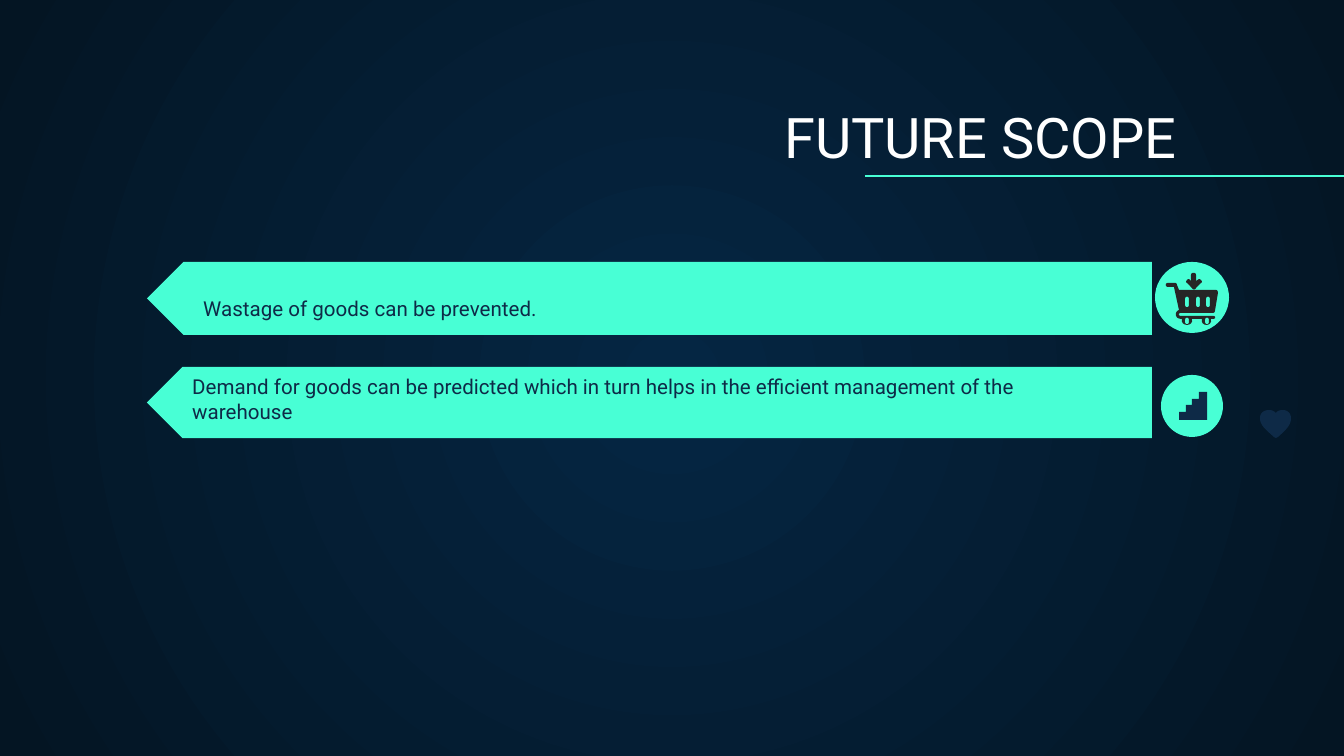
import pptx
import pptx.util
import pptx.dml.color
import pptx.enum.shapes
import pptx.enum.text
import pptx.oxml
import pptx.oxml.ns

PX = 914400 / 134.4
SLIDE = (1344, 756)
MINT, NAVY, CHARCOAL, WHITE = "48FFD5", "0E2A47", "262626", "FFFFFF"
BACKDROP = ("052643", "041523")
RIGHT, LEFT = pptx.enum.text.PP_ALIGN.RIGHT, pptx.enum.text.PP_ALIGN.LEFT

TITLE = ("FUTURE SCOPE", (38, 94, 1152, 89), 30, WHITE, RIGHT)
POINTS = [
    ("Wastage of goods can be prevented.", (190, 273, 909, 60), 11, NAVY, LEFT),
    ("Demand for goods can be predicted which in turn helps in the efficient "
     "management of the warehouse", (179, 379, 909, 58), 11, NAVY, LEFT),
]
BANNERS = [(147, 262, 1005, 73), (147, 367, 1005, 71)]
BADGES = [(1155, 262, 74, 71), (1161, 375, 62, 62)]
TITLE_RULE = (865, 176, 1356, 176)

# Two numbers are a corner; six are a cubic curve.
STAIRS = [(1199, 392), (1207, 392), (1207, 420), (1179, 420), (1179, 412), (1186, 412),
          (1186, 405), (1192, 405), (1192, 399), (1199, 399)]
HEART = [(1269, 410), (1264, 410, 1260, 413, 1260, 418), (1260, 425, 1265, 429, 1274, 437),
         (1276, 438), (1278, 437), (1287, 429, 1291, 425, 1291, 418),
         (1291, 413, 1287, 410, 1283, 410), (1280, 410, 1277, 411, 1276, 413),
         (1274, 411, 1272, 410, 1269, 410)]
DOWN_ARROW = [(1191, 275), (1191, 272, 1196, 272, 1196, 275), (1196, 281), (1199, 279),
              (1201, 279, 1203, 282, 1201, 283), (1196, 288),
              (1195, 290, 1193, 290, 1192, 288), (1187, 283),
              (1185, 282, 1187, 279, 1189, 279), (1191, 281)]
CART = [(1168, 283), (1165, 283, 1165, 287, 1168, 287), (1174, 287), (1179, 310),
        (1174, 312, 1175, 319, 1181, 319), (1182, 319), (1180, 327, 1194, 327, 1192, 319),
        (1202, 319), (1200, 327, 1213, 327, 1211, 319), (1213, 319),
        (1216, 319, 1216, 316, 1213, 316), (1181, 316), (1178, 316, 1178, 313, 1181, 313),
        (1213, 313), (1214, 313, 1215, 312, 1215, 311), (1218, 293),
        (1218, 291, 1217, 290, 1216, 290), (1179, 290), (1177, 285),
        (1177, 284, 1176, 283, 1175, 283)]
CART_HOLES = [(1187, 299, 305), (1198, 299, 305), (1208, 299, 305),
              (1187, 320, 322), (1207, 320, 322)]


def px(*lengths):
    return [pptx.util.Emu(round(length * PX)) for length in lengths]


def color(value):
    return pptx.dml.color.RGBColor.from_string(value)


def paint(shape, fill):
    shape.shadow.inherit = False
    shape.fill.solid()
    shape.fill.fore_color.rgb = color(fill)
    shape.line.fill.background()


def add_text(shapes, words, box, size, ink, align):
    frame = shapes.add_textbox(*px(*box)).text_frame
    inset = pptx.util.Inches(0.1)
    layout = {"word_wrap": True, "vertical_anchor": pptx.enum.text.MSO_ANCHOR.BOTTOM,
              "margin_left": inset, "margin_right": inset,
              "margin_top": inset, "margin_bottom": inset}
    for name, value in layout.items():
        setattr(frame, name, value)
    paragraph = frame.paragraphs[0]
    paragraph.alignment = align
    run = paragraph.add_run()
    run.text = words
    for name, value in {"name": "Roboto", "size": pptx.util.Pt(size)}.items():
        setattr(run.font, name, value)
    run.font.color.rgb = color(ink)


def flatten(contour, steps=8):
    points = [contour[0]]
    for part in contour[1:]:
        if len(part) == 2:
            points.append(part)
            continue
        controls = [points[-1], part[:2], part[2:4], part[4:]]
        for step in range(1, steps + 1):
            t = step / steps
            weights = ((1 - t) ** 3, 3 * t * (1 - t) ** 2, 3 * t * t * (1 - t), t ** 3)
            points.append(tuple(sum(w * c[axis] for w, c in zip(weights, controls))
                                for axis in (0, 1)))
    return [px(*point) for point in points]


def capsule(x, top, bottom):
    left, right = x - 2, x + 2
    return [(left, top), (left, top - 3, right, top - 3, right, top), (right, bottom),
            (right, bottom + 3, left, bottom + 3, left, bottom)]


def add_outline(shapes, contours, fill):
    outlines = [flatten(contour) for contour in contours]
    builder = shapes.build_freeform(*outlines[0][0])
    for index, outline in enumerate(outlines):
        if index:
            builder.move_to(*outline[0])
        builder.add_line_segments(outline[1:], close=True)
    paint(builder.convert_to_shape(), fill)


def set_backdrop(slide):
    fill = slide.background.fill
    fill.gradient()
    for stop, value in zip(fill.gradient_stops, BACKDROP):
        stop.color.rgb = color(value)
    gradient = slide.background._cSld.find(".//" + pptx.oxml.ns.qn("a:gradFill"))
    linear = gradient.find(pptx.oxml.ns.qn("a:lin"))
    radial = pptx.oxml.parse_xml(
        f'<a:path {pptx.oxml.ns.nsdecls("a")} path="circle">'
        '<a:fillToRect l="50000" t="50000" r="50000" b="50000"/></a:path>')
    gradient.replace(linear, radial)


def main():
    deck = pptx.Presentation()
    deck.slide_width, deck.slide_height = px(*SLIDE)
    slide = deck.slides.add_slide(deck.slide_layouts[6])
    shapes = slide.shapes
    set_backdrop(slide)

    kinds = pptx.enum.shapes.MSO_SHAPE
    for box in BANNERS:
        banner = shapes.add_shape(kinds.PENTAGON, *px(*box))
        banner.rotation = 180
        paint(banner, MINT)
    add_text(shapes, *TITLE)
    for box in BADGES:
        paint(shapes.add_shape(kinds.OVAL, *px(*box)), MINT)
    for icon in (STAIRS, HEART):
        add_outline(shapes, [icon], NAVY)

    rule = shapes.add_connector(pptx.enum.shapes.MSO_CONNECTOR.STRAIGHT, *px(*TITLE_RULE))
    rule.line.color.rgb = color(MINT)
    rule.line.width = pptx.util.Pt(0.75)
    rule._element.spPr.append(
        pptx.oxml.parse_xml(f'<a:effectLst {pptx.oxml.ns.nsdecls("a")}/>'))

    for point in POINTS:
        add_text(shapes, *point)
    basket = shapes.add_group_shape().shapes
    add_outline(basket, [DOWN_ARROW], CHARCOAL)
    add_outline(basket, [CART] + [capsule(*hole) for hole in CART_HOLES], CHARCOAL)
    deck.save("out.pptx")


if __name__ == "__main__":
    main()
